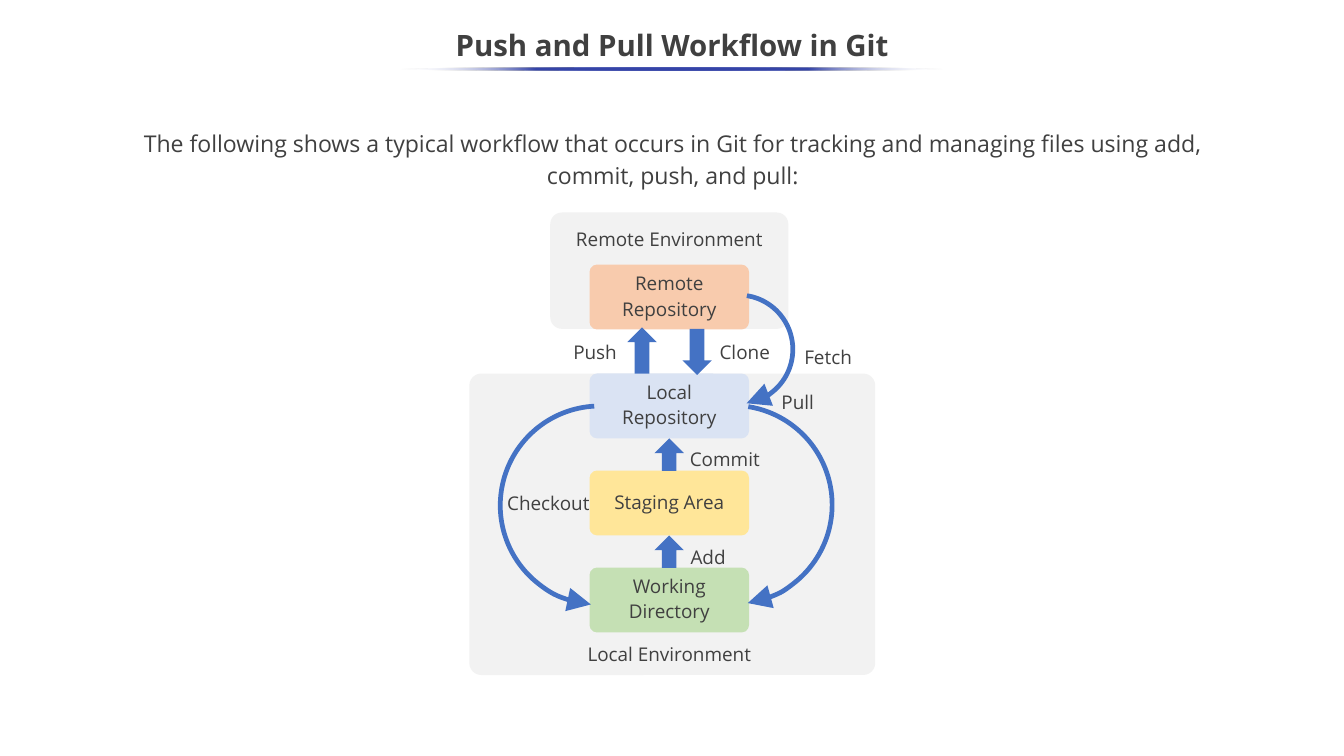
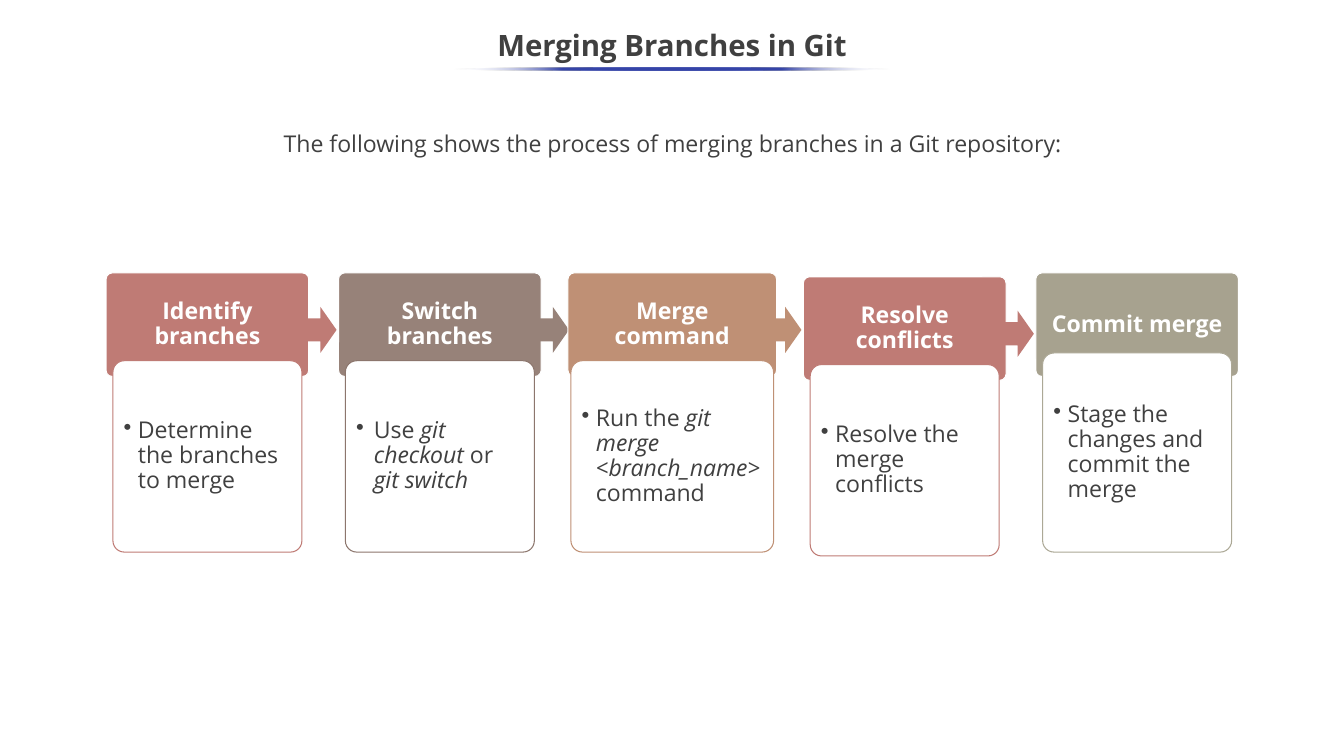
from lxml.etree import SubElement
from pptx import Presentation
from pptx.dml.color import RGBColor
from pptx.enum.shapes import MSO_SHAPE as SHAPE
from pptx.enum.text import MSO_ANCHOR as ANCHOR, PP_ALIGN as ALIGN
from pptx.oxml.ns import qn
from pptx.util import Cm, Pt

FONT = "Open Sans"
INK = RGBColor(0x40, 0x40, 0x40)
WHITE = RGBColor(0xFF, 0xFF, 0xFF)
INDIGO = RGBColor(0x36, 0x45, 0xA9)
BLUE = RGBColor(0x44, 0x72, 0xC4)
PANEL = RGBColor(0xF2, 0xF2, 0xF2)
PEACH = RGBColor(0xF8, 0xCB, 0xAD)
SKY = RGBColor(0xDA, 0xE3, 0xF3)
YELLOW = RGBColor(0xFF, 0xE6, 0x99)
GREEN = RGBColor(0xC5, 0xE0, 0xB4)
ROSE = RGBColor(0xBF, 0x7B, 0x75)
TAUPE = RGBColor(0x97, 0x82, 0x79)
TAUPE_EDGE = RGBColor(0x8C, 0x76, 0x6D)
TAN = RGBColor(0xBF, 0x90, 0x75)
SAGE = RGBColor(0xA7, 0xA2, 0x8F)
SAGE_EDGE = RGBColor(0xAC, 0xA8, 0x96)

SLIDE_W, SLIDE_H = 45.16, 25.4


def add_run(p, text, size, color=INK, bold=False, italic=False):
    r = p.add_run()
    r.text = text
    r.font.name = FONT
    r.font.size = Pt(size)
    r.font.color.rgb = color
    r.font.bold = bold
    r.font.italic = italic


def write(sp, lines, size, spacing, color=INK, bold=False, anchor=ANCHOR.MIDDLE):
    tf = sp.text_frame
    tf.word_wrap = True
    tf.vertical_anchor = anchor
    for i, line in enumerate(lines):
        p = tf.paragraphs[0] if i == 0 else tf.add_paragraph()
        p.alignment = ALIGN.CENTER
        p.line_spacing = spacing
        add_run(p, line, size, color, bold)


def add_label(s, text, left, top, width, height=1.09):
    sp = s.shapes.add_textbox(Cm(left), Cm(top), Cm(width), Cm(height))
    write(sp, [text], 18, 1.14)


def add_block(s, kind, left, top, width, height, fill, line=None, adj=None):
    sp = s.shapes.add_shape(kind, Cm(left), Cm(top), Cm(width), Cm(height))
    sp.shadow.inherit = False
    sp.fill.solid()
    sp.fill.fore_color.rgb = fill
    if line is None:
        sp.line.fill.background()
    else:
        sp.line.color.rgb = line
        sp.line.width = Pt(1)
    if adj is not None:
        sp.adjustments[0] = adj
    return sp


def add_arc(s, left, top, size, rotation, flips, start, end):
    sp = s.shapes.add_shape(SHAPE.ARC, Cm(left), Cm(top), Cm(size), Cm(size))
    sp.shadow.inherit = False
    sp.fill.background()
    sp.line.color.rgb = BLUE
    sp.line.width = Pt(4.5)
    sp.rotation = rotation
    sp.adjustments[0] = start * 0.6
    sp.adjustments[1] = end * 0.6
    spPr = sp._element.spPr
    for flip in flips:
        spPr.find(qn("a:xfrm")).set(flip, "1")
    SubElement(spPr.find(qn("a:ln")), qn("a:tailEnd"), type="triangle", w="lg", len="lg")


def add_underline(s, width):
    sp = add_block(s, SHAPE.OVAL, (SLIDE_W - width) / 2, 2.26, width, 0.1, INDIGO)
    sp.fill.gradient()
    sp.fill.gradient_angle = 0
    stops = sp._element.spPr.find(".//" + qn("a:gsLst"))
    for stop in list(stops):
        stops.remove(stop)
    for pos, color in zip(range(0, 101, 25), (WHITE, INDIGO, INDIGO, INDIGO, WHITE)):
        gs = SubElement(stops, qn("a:gs"), pos=str(pos * 1000))
        clr = SubElement(gs, qn("a:srgbClr"), val=str(color))
        if color == WHITE:
            SubElement(clr, qn("a:alpha"), val="0")


def add_page(prs, title, intro, underline_width):
    s = prs.slides.add_slide(prs.slide_layouts[5])
    sp = s.shapes.title
    sp.left, sp.top, sp.width, sp.height = Cm(0), Cm(0.64), Cm(SLIDE_W), Cm(1.9)
    write(sp, [title], 28, 0.9, bold=True)
    add_underline(s, underline_width)
    sp = s.shapes.add_textbox(Cm(3.58), Cm(4.22), Cm(38.05), Cm(2.51))
    sp.text_frame.margin_top = sp.text_frame.margin_bottom = 0
    write(sp, [intro], 22, 1.15, anchor=ANCHOR.TOP)
    return s


def add_workflow(s, left, top):
    local_top, pitch = 5.41, 3.26
    for x, y, w, h, adj in ((2.72, 0, 8, 3.91, 0.1), (0, local_top, 13.64, 10.13, 0.04)):
        add_block(s, SHAPE.ROUNDED_RECTANGLE, left + x, top + y, w, h, PANEL, adj=adj)

    for lines, y, fill in (
        (["Remote Repository"], 1.75, PEACH),
        (["Local", "Repository"], local_top, SKY),
        (["Staging Area"], local_top + pitch, YELLOW),
        (["Working", "Directory"], local_top + 2 * pitch, GREEN),
    ):
        sp = add_block(s, SHAPE.ROUNDED_RECTANGLE, left + 4.04, top + y, 5.36, 2.18,
                       fill, adj=0.115)
        sp.text_frame.margin_bottom = Cm(0.33)
        write(sp, lines, 18, 1.14)

    both = ("flipH", "flipV")
    for x, y, size, rotation, flips, start, end in (
        (1.04, 6.5, 6.68, 98.7, ("flipV",), 191.84, 3.62),
        (5.51, 6.48, 6.68, 261.3, both, 197.71, 0),
        (7.21, 2.77, 3.66, 261.3, both, 197.71, 0),
    ):
        add_arc(s, left + x, top + y, size, rotation, flips, start, end)

    for kind, x, y, h in (
        (SHAPE.UP_ARROW, 5.31, 3.86, 1.55),
        (SHAPE.DOWN_ARROW, 7.16, 3.91, 1.55),
        (SHAPE.UP_ARROW, 6.22, 7.59, 1.09),
        (SHAPE.UP_ARROW, 6.22, 7.59 + pitch, 1.09),
    ):
        add_block(s, kind, left + x, top + y, 0.99, h, BLUE)

    for text, x, y, w in (
        ("Remote Environment", 2.72, 0.28, 8),
        ("Local Environment", 2.72, 14.25, 8),
        ("Push", 2.97, 4.09, 2.51),
        ("Clone", 8, 4.08, 2.51),
        ("Fetch", 10.8, 4.24, 2.51),
        ("Pull", 9.78, 5.77, 2.51),
        ("Checkout", 0.94, 9.17, 3.43),
        ("Commit", 6.86, 7.68, 3.45),
        ("Add", 6.3, 10.97, 3.45),
    ):
        add_label(s, text, left + x, top + y, w)


def add_bullet_text(sp, lines, indent):
    tf = sp.text_frame
    tf.word_wrap = True
    tf.vertical_anchor = ANCHOR.MIDDLE
    for i, line in enumerate(lines):
        p = tf.paragraphs[0] if i == 0 else tf.add_paragraph()
        p.alignment = ALIGN.LEFT
        p.line_spacing = 0.9
        pPr = p._p.get_or_add_pPr()
        pPr.set("marL", str(Cm(indent)))
        if i == 0:
            pPr.set("indent", str(-Cm(indent)))
            clr = SubElement(pPr, qn("a:buClr"))
            SubElement(clr, qn("a:srgbClr"), val=str(INK))
            SubElement(pPr, qn("a:buChar"), char="•")
        for text, italic in line:
            add_run(p, text, 22, italic=italic)


def add_step(s, center, top, heading, lines, fill, edge, head_w=6.81, card_w=6.35,
             card_y=2.95, indent=0.48, arrow=True):
    sp = add_block(s, SHAPE.ROUNDED_RECTANGLE, center - head_w / 2, top, head_w, 3.48,
                   fill, WHITE, 0.06)
    write(sp, [heading], 22, 0.9, WHITE, True)
    if arrow:
        add_block(s, SHAPE.RIGHT_ARROW, center + 3.25, top + 1.14, 1.09, 1.55, fill)
    sp = add_block(s, SHAPE.ROUNDED_RECTANGLE, center - card_w / 2, top + card_y, card_w,
                   9.38 - card_y, WHITE, edge, 0.06)
    add_bullet_text(sp, lines, indent)


def add_merge_steps(s, left, top):
    steps = (
        ("Identify branches", [[("Determine the branches to merge", False)]],
         ROSE, ROSE, 0, {}),
        ("Switch branches",
         [[("Use ", False), ("git", True)],
          [("checkout ", True), ("or", False)],
          [("git switch", True)]],
         TAUPE, TAUPE_EDGE, 0, {"indent": 0.6}),
        ("Merge command",
         [[("Run the ", False), ("git merge <branch_name>", True), (" command", False)]],
         TAN, TAN, 0, {"head_w": 7.01, "card_w": 6.81}),
        ("Resolve conflicts", [[("Resolve the merge conflicts", False)]],
         ROSE, ROSE, 0.13, {}),
        ("Commit merge", [[("Stage the changes and commit the merge", False)]],
         SAGE, SAGE_EDGE, 0, {"card_y": 2.69, "arrow": False}),
    )
    for i, (heading, lines, fill, edge, drop, options) in enumerate(steps):
        add_step(s, left + 3.41 + 7.81 * i, top + drop, heading, lines, fill, edge, **options)


def main():
    prs = Presentation()
    prs.slide_width, prs.slide_height = Cm(SLIDE_W), Cm(SLIDE_H)
    s = add_page(prs, "Push and Pull Workflow in Git",
                 "The following shows a typical workflow that occurs in Git for tracking "
                 "and managing files using add, commit, push, and pull:", 18.24)
    add_workflow(s, 15.77, 7.14)
    s = add_page(prs, "Merging Branches in Git",
                 "The following shows the process of merging branches in a Git repository:",
                 14.71)
    add_merge_steps(s, 3.56, 9.17)
    prs.save("out.pptx")


if __name__ == "__main__":
    main()
